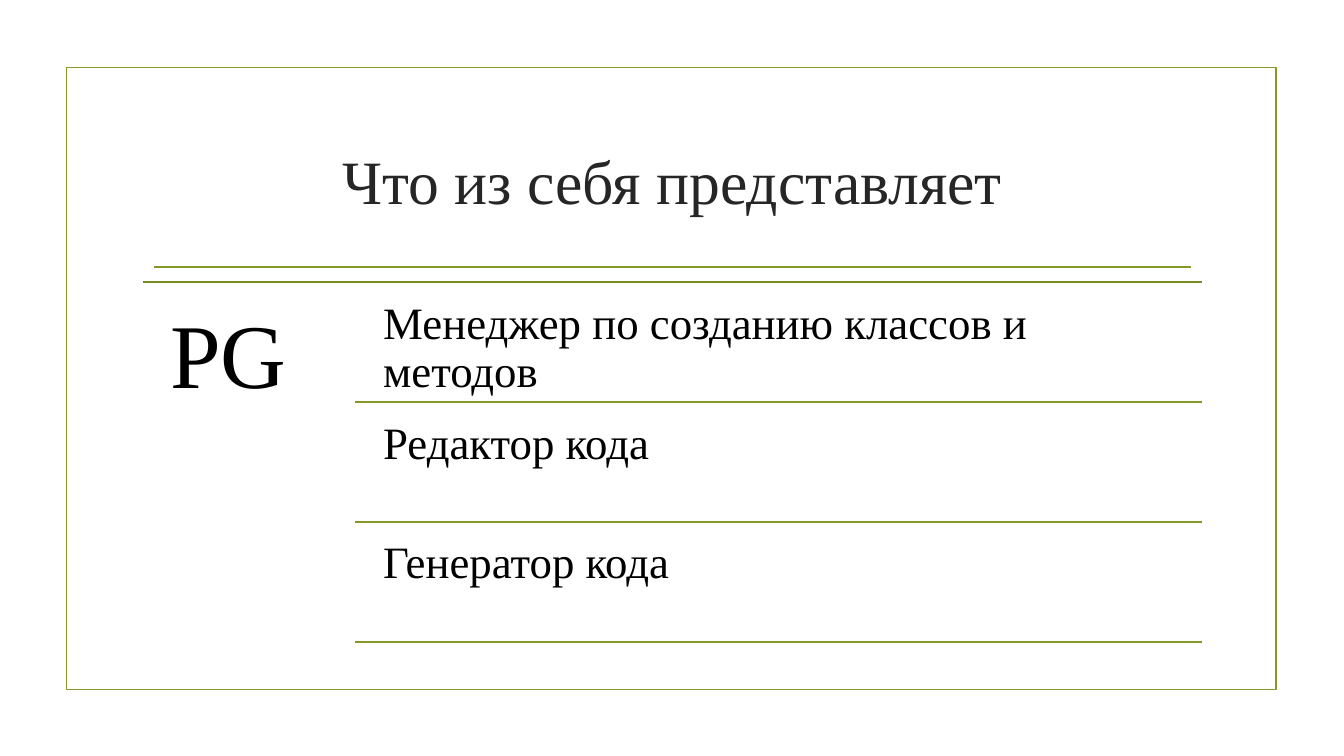
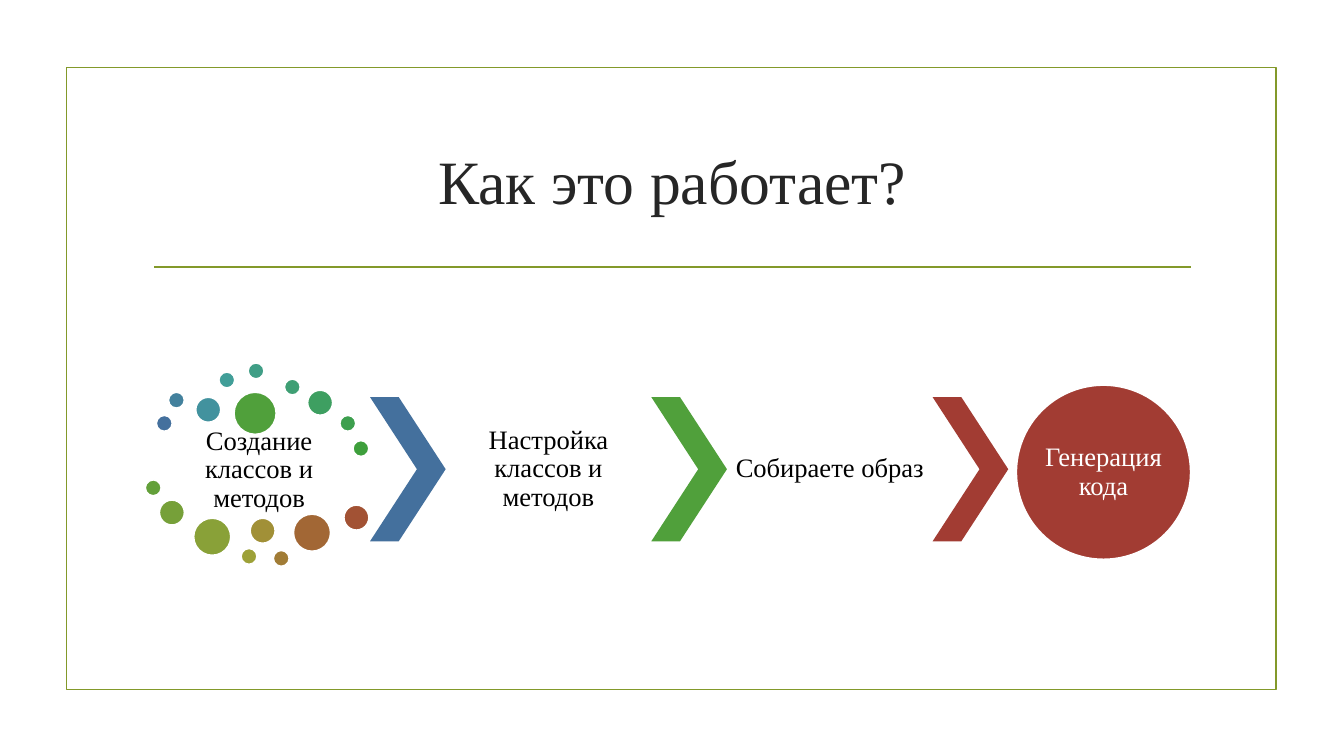
import pptx
import pptx.util
import pptx.dml.color
import pptx.enum.shapes
import pptx.enum.text
import lxml.etree

inch = pptx.util.Inches
kinds = pptx.enum.shapes.MSO_SHAPE
anchors = pptx.enum.text.MSO_ANCHOR
aligns = pptx.enum.text.PP_ALIGN
OLIVE, DARK, BLACK, WHITE = "83992A", "262626", "000000", "FFFFFF"
BLUE, GREEN, RED = "44709D", "50A03B", "A23C33"
LINE = pptx.util.Pt(1.25)
SPACE = "http://schemas.openxmlformats.org/drawingml/2006/main"


def tint(fill, hue):
    """Make a solid fill of a shape, a line or a font."""
    fill.solid()
    fill.fore_color.rgb = pptx.dml.color.RGBColor.from_string(hue)


def write(box, text, size=19, hue=BLACK, align=aligns.CENTER,
          anchor=anchors.MIDDLE, inset=0.03, space=0.9):
    frame = box.text_frame
    frame.word_wrap = True
    frame.vertical_anchor = anchor
    frame.margin_left = frame.margin_right = inch(inset)
    frame.margin_top = frame.margin_bottom = inch(inset)
    line = frame.paragraphs[0]
    line.alignment = align
    line.line_spacing = space
    run = line.add_run()
    run.text = text
    run.font.name = "Times New Roman"
    run.font.size = pptx.util.Pt(size)
    tint(run.font.fill, hue)


deck = pptx.Presentation()
deck.slide_width, deck.slide_height = inch(13.33), inch(7.5)

# Grid: content area, five columns, three rows, four steps
LEFT, WIDE, TOP = 1.42, 10.5, 2.8
RIGHT = LEFT + WIDE
COL, ROW, STEP = WIDE / 5, 1.19, 2.79

# Shared layout: title place, frame and rule
layout = deck.slide_layouts[5]
for holder in list(layout.placeholders):
    if holder.placeholder_format.idx:
        holder.element.getparent().remove(holder.element)
    else:
        holder.left, holder.top = inch(LEFT), inch(1.07)
        holder.width, holder.height = inch(WIDE), inch(1.43)

about, work = [deck.slides.add_slide(layout) for _ in range(2)]
titles = ["Что из себя представляет", "Как это работает?"]
for slide, title in zip((about, work), titles):
    write(slide.shapes.title, title, size=44, hue=DARK, inset=0.1, space=1)

frame = about.shapes.add_shape(
    kinds.RECTANGLE, inch(0.66), inch(0.67), inch(12), inch(6.17))
frame.shadow.inherit = False
frame.fill.background()
tint(frame.line.fill, OLIVE)
frame.line.width = LINE
layout.shapes.element.append(frame.element)

# Slide 1: rules, heading and rows
rules = [(1.53, 2.65, 11.81, OLIVE), (LEFT, TOP, RIGHT, "778B26")]
rules += [(LEFT + COL, TOP + ROW * n, RIGHT, OLIVE) for n in (1, 2, 3)]
for n, (start, top, end, hue) in enumerate(rules):
    rule = about.shapes.add_connector(
        pptx.enum.shapes.MSO_CONNECTOR.STRAIGHT,
        inch(start), inch(top), inch(end), inch(top))
    tint(rule.line.fill, hue)
    rule.line.width = LINE
    lxml.etree.SubElement(rule.element.spPr, "{%s}effectLst" % SPACE)
    if n == 0:
        layout.shapes.element.append(rule.element)

head = about.shapes.add_textbox(inch(LEFT), inch(TOP), inch(COL), inch(3.63))
write(head, "PG", size=65, align=aligns.LEFT, anchor=anchors.TOP, inset=0.27)

parts = ["Менеджер по созданию классов и методов",
         "Редактор кода", "Генератор кода"]
inner = LEFT + COL + 0.15
for n, part in enumerate(parts):
    box = about.shapes.add_textbox(
        inch(inner), inch(TOP + 0.05 + ROW * n),
        inch(RIGHT - inner), inch(1.13))
    write(box, part, size=32, align=aligns.LEFT, anchor=anchors.TOP,
          inset=0.13)

# Slide 2: steps, dots, arrows and the result
steps = [(1.55, 4.33, 0.67, "Создание классов и методов"),
         (4.42, 3.94, 1.43, "Настройка классов и методов"),
         (4.42 + STEP, 3.94, 1.43, "Собираете образ")]
for left, top, high, text in steps:
    box = work.shapes.add_textbox(
        inch(left), inch(top), inch(2.04), inch(high))
    write(box, text)

TINY, SMALL, MID, BIG = 0.16, 0.25, 0.37, 0.42
dots = [
    (1.55, 4.12, TINY, BLUE), (1.67, 3.89, TINY, "43819D"),
    (1.94, 3.94, SMALL, "42929E"), (2.17, 3.69, TINY, "419E98"),
    (2.46, 3.6, TINY, "409E86"), (2.82, 3.76, TINY, "3F9F74"),
    (3.05, 3.87, SMALL, "3E9F61"), (3.37, 4.12, TINY, "3D9F4E"),
    (3.5, 4.37, TINY, "3E9F3C"), (2.32, 3.89, BIG, GREEN),
    (1.44, 4.76, TINY, "63A03A"), (1.58, 4.96, SMALL, "76A039"),
    (1.92, 5.14, MID, "89A138"), (2.39, 5.44, TINY, "9DA138"),
    (2.48, 5.14, SMALL, "A19037"), (2.71, 5.46, TINY, "A17C36"),
    (2.91, 5.1, MID, "A26735"), (3.41, 5.01, SMALL, "A25234"),
    (10.08, 3.82, 1.73, RED),
]
for left, top, size, hue in dots:
    dot = work.shapes.add_shape(
        kinds.OVAL, inch(left), inch(top), inch(size), inch(size))
    dot.shadow.inherit = False
    tint(dot.fill, hue)
    tint(dot.line.fill, WHITE)
    dot.line.width = LINE
write(dot, "Генерация кода", hue=WHITE, inset=0)

for n, hue in enumerate((BLUE, GREEN, RED)):
    arrow = work.shapes.add_shape(
        kinds.CHEVRON, inch(3.67 + STEP * n), inch(3.94),
        inch(0.75), inch(1.43))
    arrow.adjustments[0] = 0.62
    arrow.shadow.inherit = False
    tint(arrow.fill, hue)
    arrow.line.fill.background()

deck.save("out.pptx")
